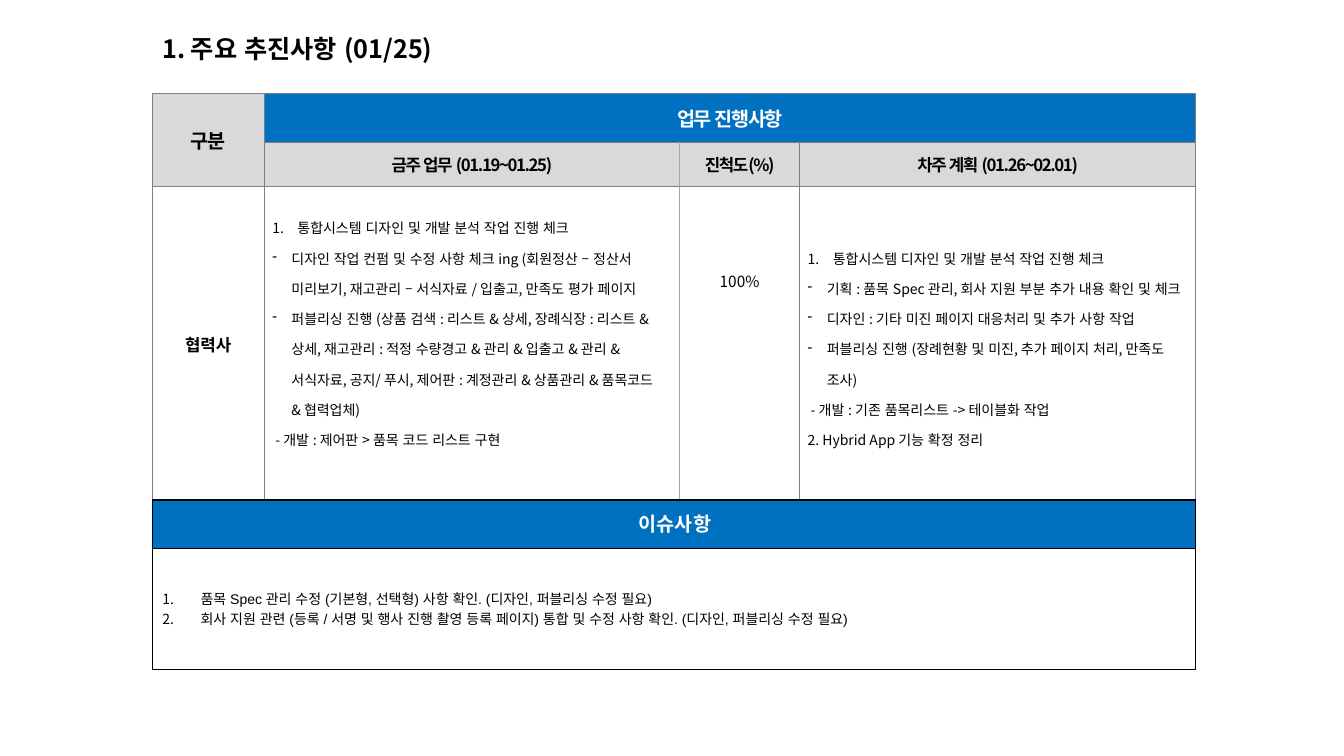
from dataclasses import dataclass
from typing import Optional

from lxml.etree import SubElement as Sub
from pptx import Presentation
from pptx.dml.color import RGBColor as RGB
from pptx.enum.text import MSO_ANCHOR as ANC, PP_ALIGN as AL
from pptx.oxml.ns import qn
from pptx.util import Inches, Pt

W, H = 13.33, 7.5
KR = "Noto Sans CJK KR"
COL = {"black": "000000", "white": "FFFFFF", "blue": "0070C0",
       "head": "D9D9D9", "grey": "808080", "pale": "A6A6A6"}


@dataclass
class Para:
    text: str
    bullet: str = ""      # "1." for numbering, "-" for a dash
    indent: float = 0     # inches
    hang: bool = False


@dataclass
class Cell:
    row: int
    col: int
    paras: list[Para]
    size: float = 10
    bold: bool = False
    color: str = "black"
    fill: Optional[str] = None
    align: AL = AL.CENTER
    spacing: float = 1
    track: int = 0
    font: str = KR
    span: tuple[int, int] = (1, 1)
    anchor: ANC = ANC.MIDDLE
    right: float = 0.08
    bottom: float = 0.08


@dataclass
class Grid:
    top: float            # percent of slide height
    cols: list[float]     # percent of slide width
    rows: list[float]     # percent of slide height
    line: str
    weight: float
    margins: tuple[float, float]
    cells: list[Cell]
    pale_after: Optional[int] = None   # column followed by a paler rule


def px(pct: float) -> int:
    return Inches(W * pct / 100)


def py(pct: float) -> int:
    return Inches(H * pct / 100)


def add_text(p, text: str, *, size: float, bold: bool = False, color: str = "black",
             font: str = KR, align: AL = AL.LEFT, spacing: float = 1, track: int = 0,
             bullet: str = "", indent: float = 0, hang: bool = False) -> None:
    p.alignment = align
    p.line_spacing = spacing
    pPr = p._p.get_or_add_pPr()
    pPr.set("marL", str(Inches(indent)))
    pPr.set("indent", str(Inches(-indent if hang else 0)))
    if bullet == "1.":
        Sub(pPr, qn("a:buAutoNum"), type="arabicPeriod")
    elif bullet:
        Sub(pPr, qn("a:buChar"), char=bullet)
    else:
        Sub(pPr, qn("a:buNone"))
    r = p.add_run()
    r.text = text
    f = r.font
    f.size, f.bold, f.name = Pt(size), bold, font
    f.color.rgb = RGB.from_string(COL[color])
    rPr = r._r.get_or_add_rPr()
    rPr.set("lang", "ko-KR")
    Sub(rPr, qn("a:ea"), typeface=KR)
    if track:
        rPr.set("spc", str(track))


def set_border(cell, side: str, color: str, weight: float) -> None:
    ln = Sub(cell._tc.get_or_add_tcPr(), qn(f"a:ln{side}"), w=str(Pt(weight)))
    Sub(Sub(ln, qn("a:solidFill")), qn("a:srgbClr"), val=COL[color])


def add_grid(s, g: Grid) -> None:
    t = s.shapes.add_table(len(g.rows), len(g.cols), px(LEFT), py(g.top),
                           px(sum(g.cols)), py(sum(g.rows))).table
    t.first_row = t.horz_banding = False
    for col, w in zip(t.columns, g.cols):
        col.width = px(w)
    for row, h in zip(t.rows, g.rows):
        row.height = py(h)
    # Borders
    for i in range(len(g.rows)):
        for j in range(len(g.cols)):
            for side in "LRTB":
                edge = g.pale_after if side == "R" else (g.pale_after or -1) + 1
                pale = g.pale_after is not None and i > 0 and side in "LR" and j == edge
                set_border(t.cell(i, j), side, "pale" if pale else g.line,
                           1 if pale else g.weight)
            t.cell(i, j).fill.background()
    # Contents
    for c in g.cells:
        cell = t.cell(c.row, c.col)
        if c.span != (1, 1):
            cell.merge(t.cell(c.row + c.span[0] - 1, c.col + c.span[1] - 1))
        if c.fill:
            cell.fill.solid()
            cell.fill.fore_color.rgb = RGB.from_string(COL[c.fill])
        cell.margin_left, cell.margin_right = Inches(g.margins[0]), Inches(c.right)
        cell.margin_top, cell.margin_bottom = Inches(g.margins[1]), Inches(c.bottom)
        cell.vertical_anchor = c.anchor
        tf = cell.text_frame
        for k, para in enumerate(c.paras):
            p = tf.add_paragraph() if k else tf.paragraphs[0]
            add_text(p, para.text, size=c.size, bold=c.bold, color=c.color, font=c.font,
                     align=c.align, spacing=c.spacing, track=c.track,
                     bullet=para.bullet, indent=para.indent, hang=para.hang)


def head(row: int, col: int, text: str, size: float = 12, fill: str = "head",
         color: str = "black", span: tuple[int, int] = (1, 1), track: int = -100) -> Cell:
    return Cell(row, col, [Para(text)], size, True, color, fill, span=span, track=track)


def num(text: str, indent: float = 0.25) -> Para:
    return Para(text, "1.", indent, True)


def dash(text: str) -> Para:
    return Para(text, "-", 0.19, True)


LEFT = 11.33
THIS_WEEK = [
    num("통합시스템 디자인 및 개발 분석 작업 진행 체크"),
    dash("디자인 작업 컨펌 및 수정 사항 체크 ing (회원정산 – 정산서 미리보기, "
         "재고관리 – 서식자료 / 입출고, 만족도 평가 페이지"),
    dash("퍼블리싱 진행 (상품 검색 : 리스트 & 상세, 장례식장 : 리스트 & 상세, "
         "재고관리 : 적정 수량경고 & 관리 & 입출고 & 관리 & 서식자료, 공지/ 푸시, "
         "제어판 : 계정관리 & 상품관리 & 품목코드 & 협력업체)"),
    Para("- 개발 : 제어판 > 품목 코드 리스트 구현", indent=0.03)]
NEXT_WEEK = [
    num("통합시스템 디자인 및 개발 분석 작업 진행 체크"),
    dash("기획 : 품목 Spec 관리, 회사 지원 부분 추가 내용 확인 및 체크"),
    dash("디자인 : 기타 미진 페이지 대응처리 및 추가 사항 작업"),
    dash("퍼블리싱 진행 (장례현황 및 미진, 추가 페이지 처리, 만족도 조사)"),
    Para("- 개발 : 기존 품목리스트 -> 테이블화 작업", indent=0.03),
    Para("2. Hybrid App 기능 확정 정리")]
ISSUES = [
    num("품목 Spec 관리 수정 (기본형, 선택형) 사항 확인. (디자인, 퍼블리싱 수정 필요)", 0.38),
    num("회사 지원 관련 (등록 / 서명 및 행사 진행 촬영 등록 페이지) 통합 및 수정 사항 확인. "
        "(디자인, 퍼블리싱 수정 필요)", 0.38)]

PROGRESS = Grid(12.4, [8.33, 30.91, 8.93, 29.47], [6.4, 5.87, 41.6], "grey", 0.75, (0.08, 0.08), [
    head(0, 0, "구분", 14, span=(2, 1)),
    head(0, 1, "업무 진행사항", 14, "blue", "white", (1, 3)),
    head(1, 1, "금주 업무 (01.19~01.25)"),
    head(1, 2, "진척도(%)"),
    head(1, 3, "차주 계획 (01.26~02.01)"),
    Cell(2, 0, [Para("협력사")], 12, True),
    Cell(2, 1, THIS_WEEK, align=AL.LEFT, spacing=1.5, right=0.15, bottom=0.38),
    Cell(2, 2, [Para("100%")], 11, spacing=1.5, anchor=ANC.BOTTOM, bottom=2.07),
    Cell(2, 3, NEXT_WEEK, align=AL.LEFT, spacing=1.5, right=0.15)], pale_after=1)
ISSUE = Grid(66.13, [77.64], [6.4, 16], "black", 1, (0.1, 0.05), [
    head(0, 0, "이슈사항", 14, "blue", "white", track=0),
    Cell(1, 0, ISSUES, fill="white", align=AL.LEFT, font="Arial", bottom=0.05)])


def main() -> None:
    prs = Presentation()
    prs.slide_width, prs.slide_height = Inches(W), Inches(H)
    s = prs.slides.add_slide(prs.slide_layouts[6])
    # Title
    tf = s.shapes.add_textbox(px(LEFT), py(3.33), px(76.89), py(6.13)).text_frame
    tf.word_wrap, tf.vertical_anchor = True, ANC.MIDDLE
    add_text(tf.paragraphs[0], "1. 주요 추진사항 (01/25)", size=18, bold=True)
    # Progress and issue tables
    for g in (PROGRESS, ISSUE):
        add_grid(s, g)
    prs.save("out.pptx")


if __name__ == "__main__":
    main()
